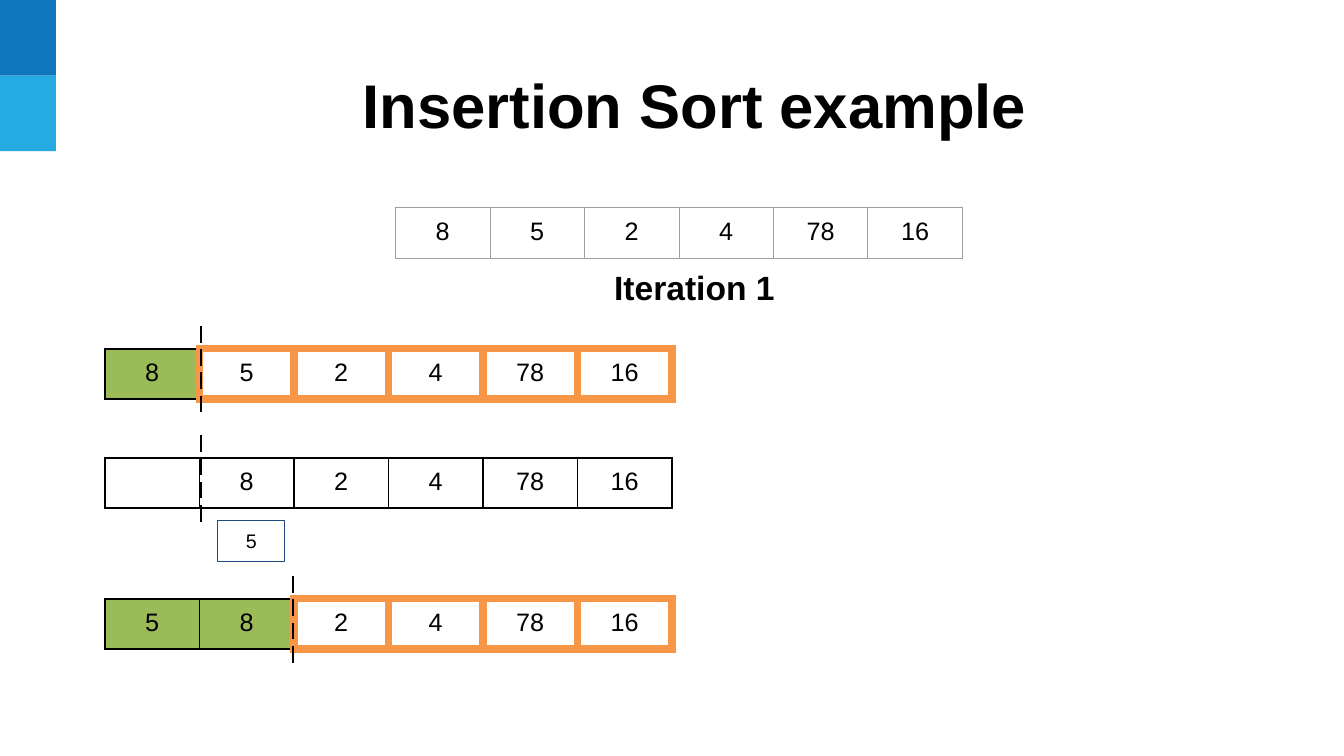
from lxml.etree import SubElement
from pptx import Presentation
from pptx.dml.color import RGBColor
from pptx.enum.dml import MSO_LINE
from pptx.enum.shapes import MSO_CONNECTOR, MSO_SHAPE
from pptx.enum.text import MSO_ANCHOR, PP_ALIGN
from pptx.oxml.ns import qn
from pptx.util import Pt

INSET = 7.2
COLUMN_WIDTH, ROW_HEIGHT = 67.5, 35
BLACK, ORANGE, GREEN, GREY = "000000", "F79646", "9BBB59", "9E9E9E"


def color(hex_string):
    return RGBColor.from_string(hex_string)


def write(frame, text, size, bold=False, inset=INSET):
    """Fill a text frame or table cell with one centred paragraph."""
    frame.margin_left = frame.margin_right = Pt(INSET)
    frame.margin_top = frame.margin_bottom = Pt(inset)
    holder = getattr(frame, "text_frame", frame)
    holder.word_wrap = True
    paragraph = holder.paragraphs[0]
    paragraph.text = text
    paragraph.alignment = PP_ALIGN.CENTER
    paragraph.font.name = "Arial"
    paragraph.font.size = Pt(size)
    paragraph.font.bold = bold
    paragraph.font.color.rgb = color(BLACK)


presentation = Presentation()
presentation.slide_width, presentation.slide_height = Pt(960), Pt(540)
slide = presentation.slides.add_slide(presentation.slide_layouts[6])
shapes = slide.shapes

# Corner blocks
for top, fill in [(0, "0F75BD"), (54, "25AAE2")]:
    block = shapes.add_shape(MSO_SHAPE.RECTANGLE, 0, Pt(top), Pt(40), Pt(54))
    block.shadow.inherit = False
    block.fill.solid()
    block.fill.fore_color.rgb = color(fill)
    block.line.fill.background()

# Headings
title = shapes.add_textbox(Pt(181.5), Pt(42), Pt(630), Pt(65)).text_frame
write(title, "Insertion Sort example", 44, bold=True, inset=3.6)
title.vertical_anchor = MSO_ANCHOR.MIDDLE
iteration = shapes.add_textbox(Pt(298), Pt(183.6), Pt(396), Pt(44)).text_frame
write(iteration, "Iteration 1", 24, bold=True)

# Arrays: left, top, values, sorted count, border colour and width, divider x
arrays = [
    (282.5, 148.3, ["8", "5", "2", "4", "78", "16"], 0, (GREY, 0.75), None),
    (75, 249, ["8", "5", "2", "4", "78", "16"], 1, (ORANGE, 6), 143.3),
    (75, 327, ["", "8", "2", "4", "78", "16"], 0, (BLACK, 1.5), 143.3),
    (75, 427.7, ["5", "8", "2", "4", "78", "16"], 2, (ORANGE, 6), 209.5),
]
for left, top, values, sorted_count, border, divider_x in arrays:
    array = shapes.add_table(1, len(values), Pt(left), Pt(top),
                             Pt(COLUMN_WIDTH * len(values)), Pt(ROW_HEIGHT)).table
    array.first_row = array.horz_banding = False
    for index, value in enumerate(values):
        array.columns[index].width = Pt(COLUMN_WIDTH)
        cell = array.cell(0, index)
        write(cell, value, 18)
        is_sorted = index < sorted_count
        properties = cell._tc.get_or_add_tcPr()
        for side in ("lnL", "lnR", "lnT", "lnB"):
            at_boundary = side == "lnR" and index == sorted_count - 1
            edge_color, edge_width = (
                (BLACK, 1.5) if is_sorted and not at_boundary else border)
            edge = SubElement(properties, qn(f"a:{side}"), w=str(Pt(edge_width)))
            edge_fill = SubElement(edge, qn("a:solidFill"))
            SubElement(edge_fill, qn("a:srgbClr"), val=edge_color)
        if is_sorted:
            cell.fill.solid()
            cell.fill.fore_color.rgb = color(GREEN)
        else:
            cell.fill.background()

    if divider_x:
        divider = shapes.add_connector(MSO_CONNECTOR.STRAIGHT, Pt(divider_x),
                                       Pt(top - 16), Pt(divider_x), Pt(top + 49))
        divider.line.color.rgb = color(BLACK)
        divider.line.width = Pt(1.5)
        divider.line.dash_style = MSO_LINE.LONG_DASH
        SubElement(divider._element.spPr, qn("a:effectLst"))

# Value waiting to be inserted
held_value = shapes.add_shape(MSO_SHAPE.RECTANGLE, Pt(155.5), Pt(372), Pt(48), Pt(29))
held_value.shadow.inherit = False
held_value.fill.solid()
held_value.fill.fore_color.rgb = color("FFFFFF")
held_value.line.color.rgb = color("1F497D")
held_value.line.width = Pt(0.75)
write(held_value.text_frame, "5", 14)
held_value.text_frame.vertical_anchor = MSO_ANCHOR.MIDDLE

presentation.save("out.pptx")
